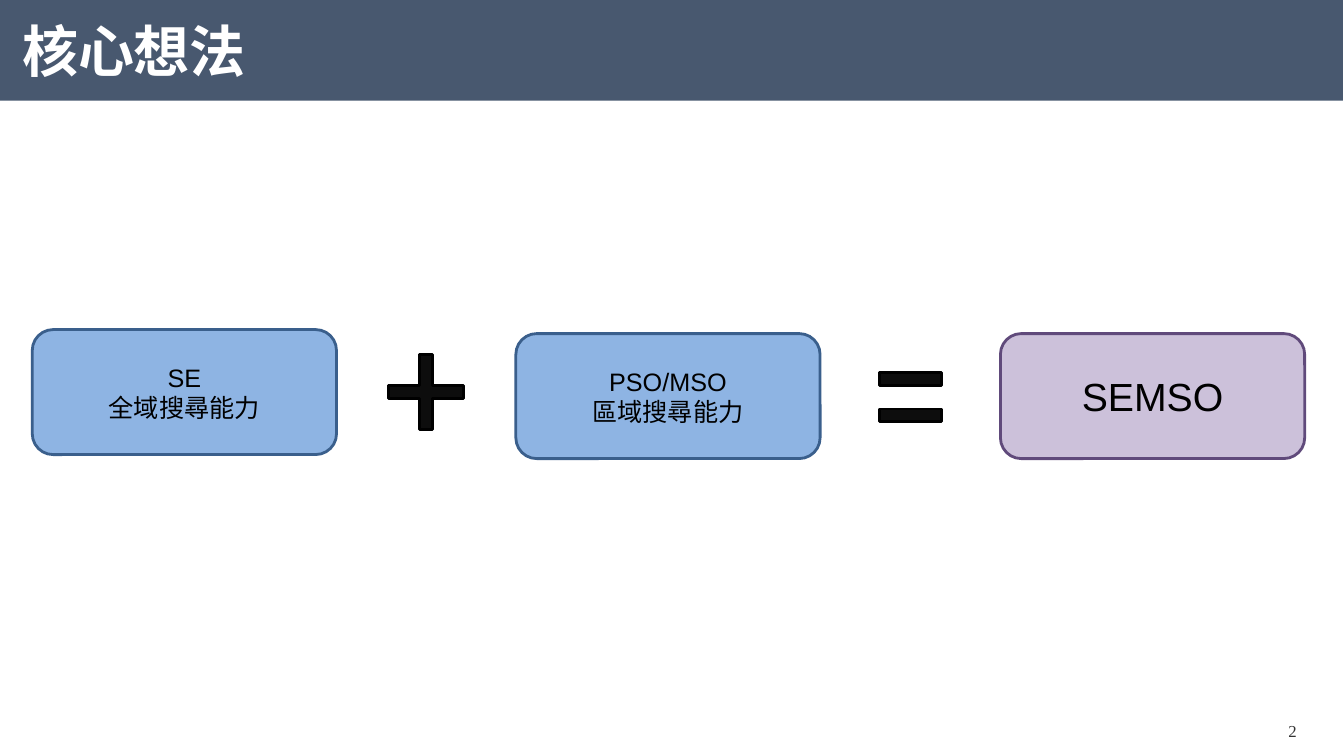
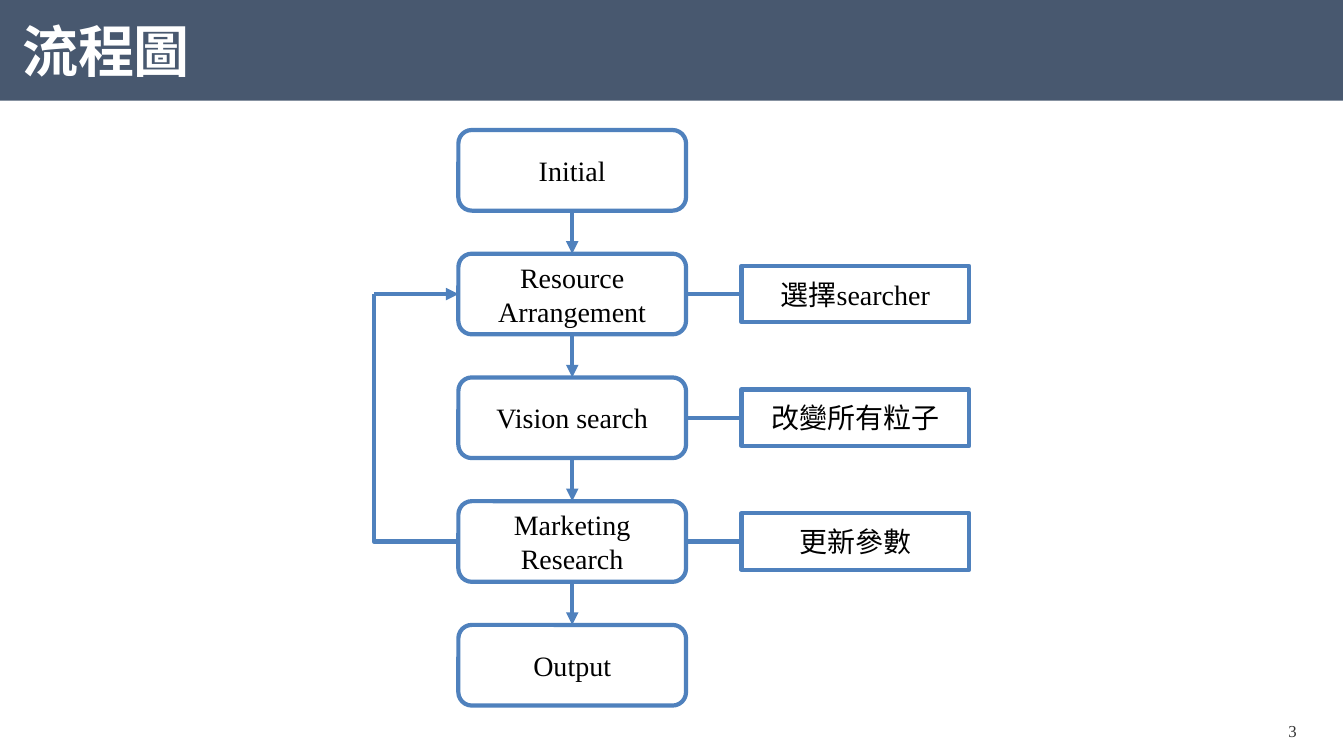
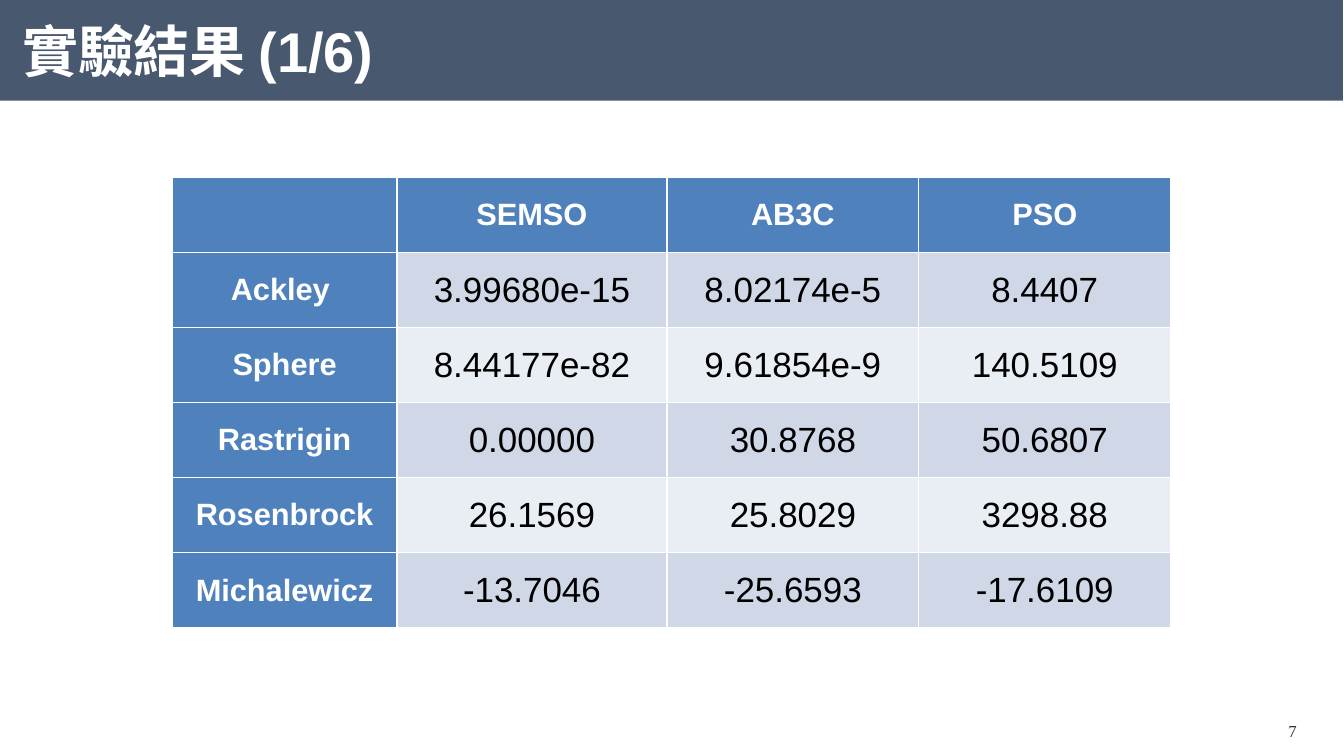
from dataclasses import dataclass

from lxml import etree
from pptx import Presentation
from pptx.dml.color import RGBColor
from pptx.enum.shapes import MSO_CONNECTOR, MSO_SHAPE
from pptx.enum.text import MSO_ANCHOR, MSO_AUTO_SIZE, PP_ALIGN
from pptx.oxml.ns import qn
from pptx.util import Inches, Pt

RECT, ROUND = MSO_SHAPE.RECTANGLE, MSO_SHAPE.ROUNDED_RECTANGLE
PLUS, EQUAL = MSO_SHAPE.CROSS, MSO_SHAPE.MATH_EQUAL
STRAIGHT, ELBOW = MSO_CONNECTOR.STRAIGHT, MSO_CONNECTOR.ELBOW
LEFT, CENTER = PP_ALIGN.LEFT, PP_ALIGN.CENTER
MIDDLE = MSO_ANCHOR.MIDDLE
SITE_TOP, SITE_LEFT, SITE_BOTTOM, SITE_RIGHT = range(4)
TITLE_ONLY = 5


@dataclass(frozen=True)
class Theme:
    sans: str = "Arial"
    serif: str = "Times New Roman"
    band: str = "48586F"
    white: str = "FFFFFF"
    black: str = "000000"
    number: str = "333333"
    sign: str = "0D0D0D"
    blue: str = "8EB4E3"
    blue_edge: str = "3A5F8C"
    purple: str = "CCC1DA"
    purple_edge: str = "604A7B"
    accent: str = "4F81BD"
    stripes: tuple = ("D0D8E8", "E9EDF4")
    title_size: int = 40
    result_size: int = 28
    value_size: int = 25
    header_size: int = 22
    flow_size: int = 20
    idea_size: int = 18
    number_size: int = 12
    edge: int = 2
    flow_edge: int = 3


def rgb(color):
    return RGBColor.from_string(color)


def box(*lengths):
    return [Inches(n) for n in lengths]


class Deck:
    """Holds the presentation, its theme and the slide being drawn."""

    def __init__(self, theme):
        self.theme = theme
        self.prs = Presentation()
        self.prs.slide_width, self.prs.slide_height = box(13.34, 7.5)
        self.slide = None

    def new_slide(self, title, number):
        t = self.theme
        self.slide = self.prs.slides.add_slide(self.prs.slide_layouts[TITLE_ONLY])
        band = self.shape(RECT, (0, 0, 13.33, 1), t.band)
        self.slide.shapes._spTree.insert(2, band._element)

        sp = self.slide.shapes.title
        sp.left, sp.top, sp.width, sp.height = box(0.22, 0.17, 11.24, 0.74)
        tf = sp.text_frame
        tf.margin_left = tf.margin_right = tf.margin_top = tf.margin_bottom = 0
        tf.auto_size = MSO_AUTO_SIZE.NONE
        self.text(tf, [title], t.title_size, t.sans, t.white, True, LEFT)
        tf.paragraphs[0].line_spacing = 0.9

        sp = self.slide.shapes.add_textbox(*box(12.22, 7.11, 1.22, 0.28))
        self.text(sp.text_frame, [str(number)], t.number_size, t.serif, t.number)

    def text(self, tf, lines, size, font, color, bold=False, align=CENTER):
        tf.word_wrap = True
        tf.vertical_anchor = MIDDLE
        for i, line in enumerate(lines):
            p = tf.paragraphs[0] if i == 0 else tf.add_paragraph()
            p.alignment = align
            r = p.add_run()
            r.text = line
            r.font.size, r.font.name, r.font.bold = Pt(size), font, bold
            r.font.color.rgb = rgb(color)

    def shape(self, kind, at, fill=None, edge=None, width=0, adjust=()):
        sp = self.slide.shapes.add_shape(kind, *box(*at))
        sp.shadow.inherit = False
        if fill:
            sp.fill.solid()
            sp.fill.fore_color.rgb = rgb(fill)
        else:
            sp.fill.background()
        if edge:
            sp.line.color.rgb = rgb(edge)
            sp.line.width = Pt(width)
        else:
            sp.line.fill.background()
        for i, value in enumerate(adjust):
            sp.adjustments[i] = value
        return sp

    def idea(self, at, lines, size, fill, edge):
        sp = self.shape(ROUND, at, fill, edge, self.theme.edge)
        self.text(sp.text_frame, lines, size, self.theme.sans, self.theme.black)

    def sign(self, kind, at, adjust):
        t = self.theme
        self.shape(kind, at, t.sign, t.black, t.edge, adjust)

    def flow_box(self, at, label, adjust=()):
        t = self.theme
        sp = self.shape(ROUND, at, None, t.accent, t.flow_edge, adjust)
        self.text(sp.text_frame, [label], t.flow_size, t.serif, t.black)
        return sp

    def line(self, start=(0, 0), end=(0, 0), kind=STRAIGHT, arrow=False):
        cx = self.slide.shapes.add_connector(kind, *box(*start, *end))
        cx.line.color.rgb = rgb(self.theme.accent)
        cx.line.width = Pt(self.theme.flow_edge)
        if arrow:
            etree.SubElement(cx.line._get_or_add_ln(), qn("a:tailEnd"), type="triangle")
        etree.SubElement(cx._element.spPr, qn("a:effectLst"))
        return cx

    def link(self, source, source_site, target, target_site, arrow=False):
        """Glue a straight line to two boxes."""
        cx = self.line(arrow=arrow)
        cx.begin_connect(source, source_site)
        cx.end_connect(target, target_site)

    def corner(self, left, top, right, bottom):
        """Run from the lower right to the lower left, then up."""
        cx = self.line((left, top), (right, bottom), ELBOW)
        sp_pr = cx._element.spPr
        sp_pr.find(qn("a:prstGeom")).set("prst", "bentConnector2")
        sp_pr.find(qn("a:xfrm")).set("rot", str(180 * 60000))

    def cell(self, cell, label, fill, size, color, bold):
        cell.margin_left = cell.margin_right = Inches(0.21)
        cell.margin_top = cell.margin_bottom = 0
        cell.vertical_anchor = MIDDLE
        tc_pr = cell._tc.get_or_add_tcPr()
        for side in ("lnL", "lnR", "lnT", "lnB"):
            ln = etree.SubElement(tc_pr, qn("a:" + side), w=str(Pt(1)))
            solid = etree.SubElement(ln, qn("a:solidFill"))
            etree.SubElement(solid, qn("a:srgbClr"), val=self.theme.white)
        cell.fill.solid()
        cell.fill.fore_color.rgb = rgb(fill)
        if label:
            p = cell.text_frame.paragraphs[0]
            p.alignment = CENTER
            r = p.add_run()
            r.text = label
            r.font.size, r.font.name, r.font.bold = Pt(size), self.theme.sans, bold
            r.font.color.rgb = rgb(color)

    def table(self, at, widths, rows):
        t = self.theme
        frame = self.slide.shapes.add_table(len(rows), len(widths), *box(*at))
        table = frame.table
        for column, width in zip(table.columns, widths):
            column.width = Inches(width)
        for i, row in enumerate(rows):
            for j, label in enumerate(row):
                if i == 0 or j == 0:
                    style = (t.accent, t.header_size, t.white, True)
                else:
                    style = (t.stripes[(i - 1) % 2], t.value_size, t.black, False)
                self.cell(table.cell(i, j), label, *style)


def core_idea(deck):
    t = deck.theme
    deck.new_slide("核心想法", 2)
    w, h = 3.02, 1.24
    deck.idea((0.32, 3.27, w, h), ["SE", "全域搜尋能力"], t.idea_size, t.blue, t.blue_edge)
    deck.idea((5.12, 3.31, w, h), ["PSO/MSO", "區域搜尋能力"], t.idea_size, t.blue, t.blue_edge)
    deck.idea((9.93, 3.31, w, h), ["SEMSO"], t.result_size, t.purple, t.purple_edge)
    deck.sign(PLUS, (3.86, 3.52, 0.74, 0.74), [0.41])
    deck.sign(EQUAL, (8.62, 3.52, 0.84, 0.84), [0.15, 0.28])


def flow_chart(deck):
    deck.new_slide("流程圖", 3)
    left, top, pitch = 4.55, 1.29, 1.2275
    width, height, note_height = 2.26, 0.8, 0.56
    note_left, loop_left = 7.36, 3.71
    steps = [
        ("Initial", None),
        ("Resource Arrangement", "選擇searcher"),
        ("Vision search", "改變所有粒子"),
        ("Marketing Research", "更新參數"),
        ("Output", None),
    ]
    previous = None
    for i, (label, note) in enumerate(steps):
        y = top + i * pitch
        step = deck.flow_box((left, y, width, height), label)
        if previous:
            deck.link(previous, SITE_BOTTOM, step, SITE_TOP, arrow=True)
        if note:
            note_top = y + (height - note_height) / 2
            side = deck.flow_box((note_left, note_top, width, note_height), note, [0])
            deck.link(side, SITE_LEFT, step, SITE_RIGHT)
        previous = step

    loop_top, loop_bottom = (top + i * pitch + height / 2 for i in (1, 3))
    deck.corner(loop_left, loop_top, left, loop_bottom)
    deck.line((loop_left, loop_top), (left, loop_top), arrow=True)


def results(deck):
    deck.new_slide("實驗結果 (1/6)", 7)
    deck.table((1.71, 1.76, 9.91, 4.47), (2.23, 2.68, 2.5, 2.5), [
        ("", "SEMSO", "AB3C", "PSO"),
        ("Ackley ", "3.99680e-15", "8.02174e-5", "8.4407"),
        ("Sphere", "8.44177e-82", "9.61854e-9", "140.5109"),
        ("Rastrigin", "0.00000", "30.8768", "50.6807"),
        ("Rosenbrock", "26.1569", "25.8029", "3298.88"),
        ("Michalewicz", "-13.7046", "-25.6593", "-17.6109"),
    ])


def main():
    deck = Deck(Theme())
    core_idea(deck)
    flow_chart(deck)
    results(deck)
    deck.prs.save("out.pptx")


if __name__ == "__main__":
    main()
